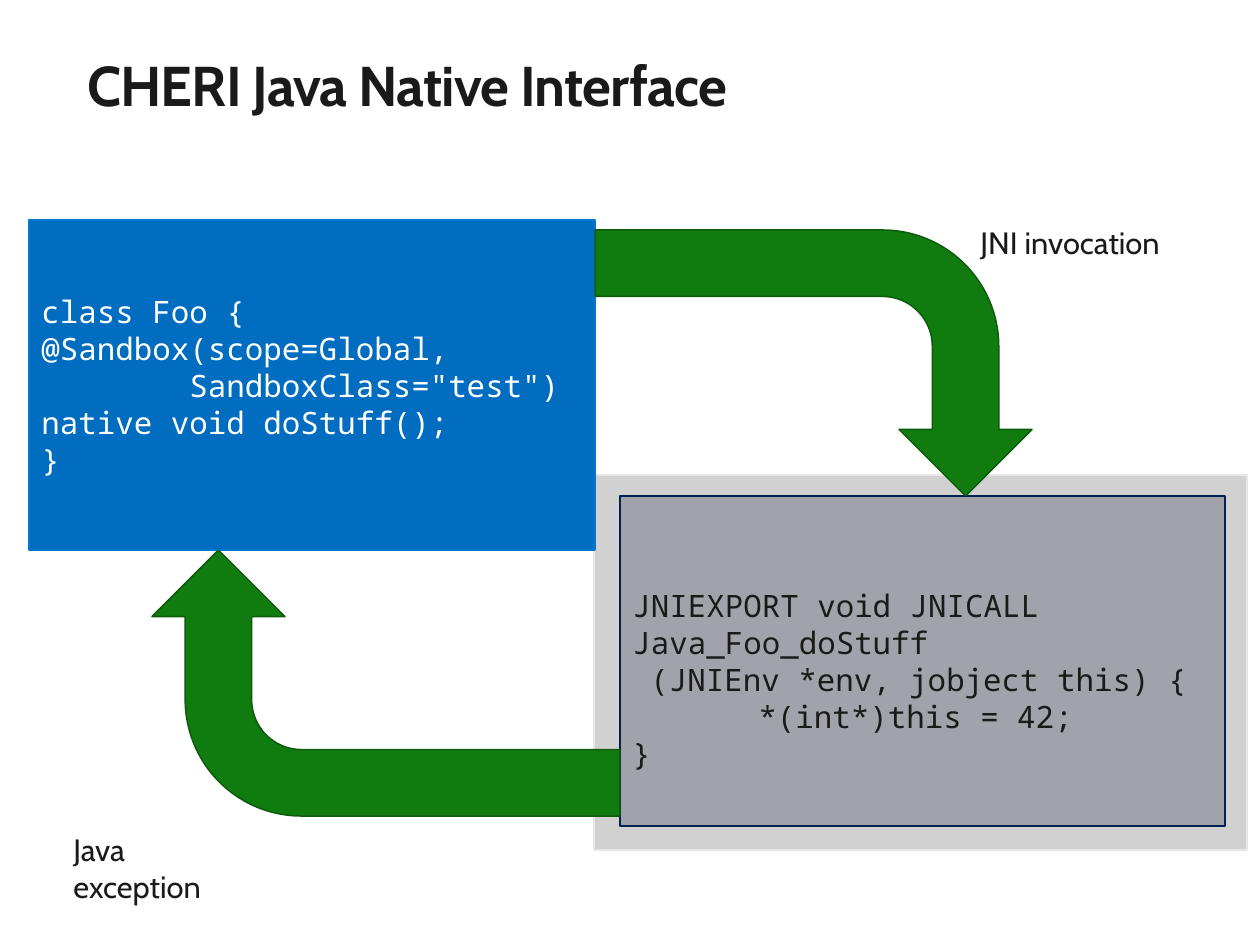
from dataclasses import dataclass

from pptx import Presentation
from pptx.dml.color import RGBColor
from pptx.enum import shapes, text
from pptx.util import Emu, Pt


@dataclass(frozen=True)
class Theme:
    ink: str = "1A1A1A"
    white: str = "FFFFFF"
    java: str = "006DC0"
    java_edge: str = "0078D4"
    native: str = "A2A3AA"
    native_edge: str = "002050"
    sandbox: str = "D1D1D1"
    sandbox_edge: str = "E6E6E6"
    arrow: str = "107C10"
    arrow_edge: str = "0C5C0C"
    sans: str = "Cabin"
    mono: str = "Noto Sans Mono"
    title_size: float = 32
    text_size: float = 17.6


THEME = Theme()
SCALE = 914400 / 126


def px(length):
    return Emu(round(length * SCALE))


def add_run(paragraph, wording, font, size, color, bold=False):
    run = paragraph.add_run()
    run.text = wording
    run.font.name = font
    run.font.size = Pt(size)
    run.font.bold = bold
    run.font.color.rgb = RGBColor.from_string(color)
    return run


def add_block(slide, preset, box, fill, edge, edge_width=0.75):
    block = slide.shapes.add_shape(preset, *map(px, box))
    block.shadow.inherit = False
    block.fill.solid()
    block.fill.fore_color.rgb = RGBColor.from_string(fill)
    block.line.color.rgb = RGBColor.from_string(edge)
    block.line.width = Pt(edge_width)
    return block


def add_heading(slide, box, wording):
    heading = slide.shapes.title
    heading.left, heading.top, heading.width, heading.height = map(px, box)
    frame = heading.text_frame
    frame.margin_left = frame.margin_right = frame.margin_top = frame.margin_bottom = 0
    frame.vertical_anchor = text.MSO_ANCHOR.TOP
    frame.auto_size = text.MSO_AUTO_SIZE.NONE
    line = frame.paragraphs[0]
    line.alignment = text.PP_ALIGN.LEFT
    run = add_run(line, wording, THEME.sans, THEME.title_size, THEME.ink, True)
    run.font._element.set("spc", "-50")


def add_code(slide, box, lines, fill, edge, color, drop=0):
    panel = add_block(slide, shapes.MSO_SHAPE.RECTANGLE, box, fill, edge)
    frame = panel.text_frame
    frame.word_wrap = True
    frame.vertical_anchor = text.MSO_ANCHOR.MIDDLE
    frame.margin_top = px(6 + drop)
    for number, (indent, wording) in enumerate(lines):
        line = frame.add_paragraph() if number else frame.paragraphs[0]
        line.alignment = text.PP_ALIGN.LEFT
        if indent:
            line._p.get_or_add_pPr().set("marL", str(px(indent)))
        add_run(line, wording, THEME.mono, THEME.text_size, color)


def add_turn(slide, box, rotation):
    left, top, width, height = box
    shift = (width - height) / 2
    upright = (left + shift, top - shift, height, width)
    turn = add_block(slide, shapes.MSO_SHAPE.BENT_ARROW, upright,
                     THEME.arrow, THEME.arrow_edge, 0.85)
    turn.rotation = rotation


def add_label(slide, box, wording, wrap):
    frame = slide.shapes.add_textbox(*map(px, box)).text_frame
    frame.word_wrap = wrap
    add_run(frame.paragraphs[0], wording, THEME.sans, THEME.text_size, THEME.ink)


def main():
    deck = Presentation()
    deck.slide_width, deck.slide_height = px(1260), px(945)
    slide = deck.slides.add_slide(deck.slide_layouts[5])

    add_heading(slide, (87, 50, 1086, 183), "CHERI Java Native Interface")
    add_block(slide, shapes.MSO_SHAPE.RECTANGLE, (594, 475, 653, 375),
              THEME.sandbox, THEME.sandbox_edge)
    add_code(slide, (29, 220, 566, 330), [
        (0, "class Foo {"),
        (0, "@Sandbox(scope=Global,"),
        (148, 'SandboxClass="test")'),
        (0, "native void doStuff();"),
        (0, "}"),
    ], THEME.java, THEME.java_edge, THEME.white)
    add_code(slide, (620, 496, 605, 330), [
        (0, "JNIEXPORT void JNICALL"),
        (0, "Java_Foo_doStuff"),
        (18, "(JNIEnv *env, jobject this) {"),
        (126, "*(int*)this = 42;"),
        (0, "}"),
    ], THEME.native, THEME.native_edge, THEME.ink, drop=37)
    add_turn(slide, (595, 230, 437, 266), 90)
    add_turn(slide, (152, 550, 468, 266), 270)
    add_label(slide, (61, 825, 205, 50), "Java exception", True)
    add_label(slide, (968, 218, 205, 50), "JNI invocation", False)

    deck.save("out.pptx")


if __name__ == "__main__":
    main()
